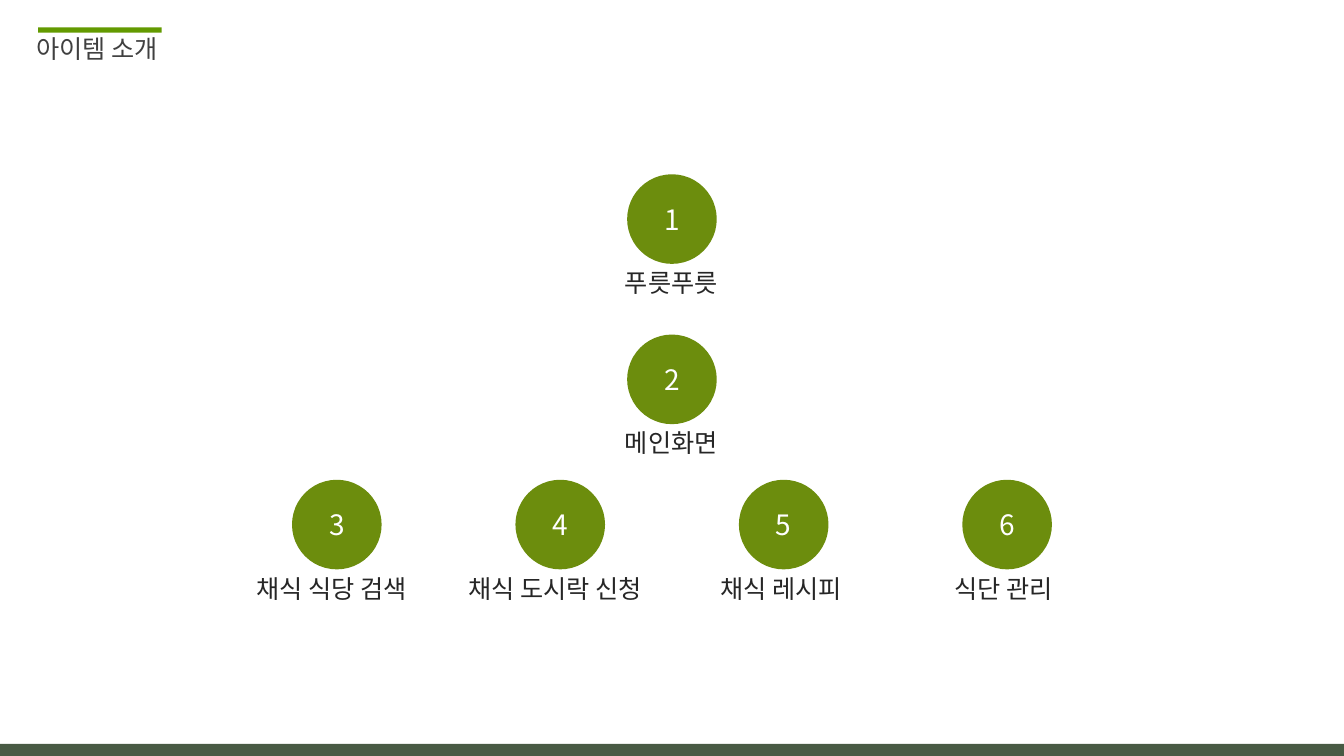
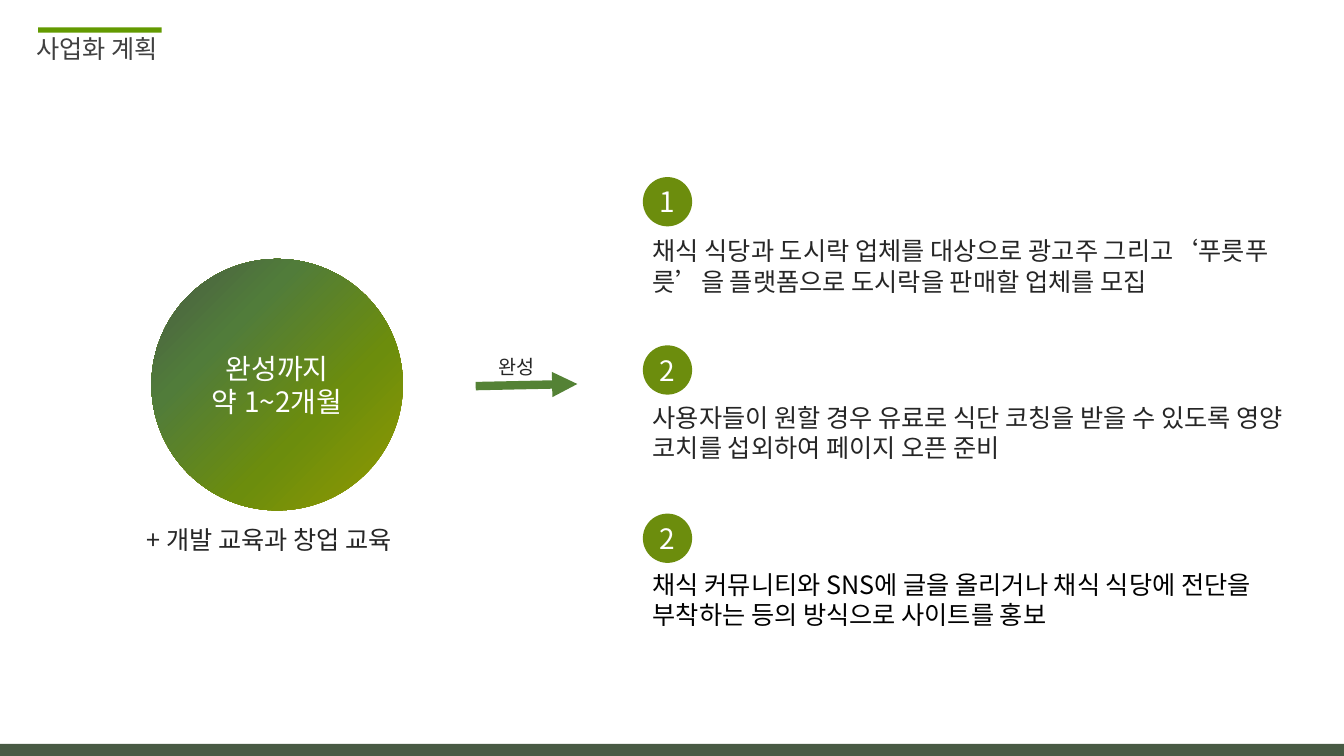
from dataclasses import dataclass

from lxml.etree import SubElement
from pptx import Presentation
from pptx.dml.color import RGBColor
from pptx.enum.shapes import MSO_CONNECTOR as Connector, MSO_SHAPE as Shape
from pptx.enum.text import MSO_ANCHOR as Anchor, MSO_AUTO_SIZE as AutoSize, PP_ALIGN as Align
from pptx.oxml.ns import qn
from pptx.util import Pt


@dataclass(frozen=True)
class Theme:
    font: str = "Noto Sans CJK KR"
    title: str = "404040"
    text: str = "262626"
    black: str = "000000"
    white: str = "FFFFFF"
    accent: str = "639A00"
    footer: str = "485A44"
    badge: str = "6C8D0D"
    arrow: str = "548235"
    gradient: tuple = ((0, "929A00"), (36, "6C8D0D"), (70, "517C3A"), (100, "485A44"))
    gradient_angle: int = 225
    body_size: int = 18
    number_size: int = 20
    caption_size: int = 14


THEME = Theme()
WIDTH, HEIGHT = 960, 540
LINE_HEIGHT = 28.8

INTRO_TITLE = "아이템 소개"
MENU_ROWS = [
    (124.5, [("1", "푸릇푸릇", 81.4)]),
    (239, [("2", "메인화면", 81.4)]),
    (342.7, [
        ("3", "채식 식당 검색", 128.9),
        ("4", "채식 도시락 신청", 145.4),
        ("5", "채식 레시피", 104.4),
        ("6", "식단 관리", 89.3),
    ]),
]

PLAN_TITLE = "사업화 계획"
PERIOD = ["완성까지", "약 1~2개월"]
EDUCATION = "+ 개발 교육과 창업 교육"
DONE = "완성"
PLANS = [
    ("1", "채식 식당과 도시락 업체를 대상으로 광고주 그리고‘푸릇푸릇’을 플랫폼으로 도시락을 판매할 업체를 모집", THEME.text),
    ("2", "사용자들이 원할 경우 유료로 식단 코칭을 받을 수 있도록 영양 코치를 섭외하여 페이지 오픈 준비", THEME.text),
    ("2", "채식 커뮤니티와 SNS에 글을 올리거나 채식 식당에 전단을 부착하는 등의 방식으로 사이트를 홍보", THEME.black),
]


def apply(target, values):
    for name, value in values.items():
        setattr(target, name, value)


def write(frame, lines, size, color, align, frame_format):
    apply(frame, frame_format)
    for index, line in enumerate(lines):
        paragraph = frame.paragraphs[0] if index == 0 else frame.add_paragraph()
        paragraph.alignment = align
        run = paragraph.add_run()
        run.text = line
        apply(run.font, {"name": THEME.font, "size": Pt(size)})
        run.font.color.rgb = RGBColor.from_string(color)
        SubElement(run.font._element, qn("a:ea")).set("typeface", THEME.font)


def add_text(slide, text, left, top, width, height=LINE_HEIGHT,
             size=THEME.body_size, color=THEME.text, wrap=False):
    box = slide.shapes.add_textbox(Pt(left), Pt(top), Pt(width), Pt(height))
    write(box.text_frame, [text], size, color, Align.LEFT,
          {"word_wrap": wrap, "auto_size": AutoSize.SHAPE_TO_FIT_TEXT})


def add_plain(slide, kind, left, top, width, height, color):
    shape = slide.shapes.add_shape(kind, Pt(left), Pt(top), Pt(width), Pt(height))
    shape.shadow.inherit = False
    shape.fill.solid()
    shape.fill.fore_color.rgb = RGBColor.from_string(color)
    shape.line.fill.background()
    return shape


def add_circle(slide, lines, left, top, diameter):
    circle = add_plain(slide, Shape.OVAL, left, top, diameter, diameter, THEME.badge)
    margins = {f"margin_{side}": 0 for side in ("left", "top", "right", "bottom")}
    write(circle.text_frame, lines, THEME.number_size, THEME.white, Align.CENTER,
          {"word_wrap": True, "vertical_anchor": Anchor.MIDDLE, **margins})
    return circle


def paint_gradient(shape):
    shape.fill.gradient()
    gradient = shape._element.spPr.find(qn("a:gradFill"))
    stops = gradient.find(qn("a:gsLst"))
    for stop in list(stops):
        stops.remove(stop)
    for position, color in THEME.gradient:
        stop = SubElement(stops, qn("a:gs"), pos=str(position * 1000))
        SubElement(stop, qn("a:srgbClr"), val=color)
    gradient.find(qn("a:lin")).set("ang", str(THEME.gradient_angle * 60000))


def add_arrow(slide, start, end):
    arrow = slide.shapes.add_connector(Connector.STRAIGHT, *map(Pt, start + end))
    arrow.line.width = Pt(6)
    arrow.line.color.rgb = RGBColor.from_string(THEME.arrow)
    SubElement(arrow.line._get_or_add_ln(), qn("a:tailEnd"), type="triangle")
    SubElement(arrow._element.spPr, qn("a:effectLst"))


def add_slide(deck, title):
    slide = deck.slides.add_slide(deck.slide_layouts[6])
    add_text(slide, title, 18.7, 20.2, 104.4, color=THEME.title)
    add_plain(slide, Shape.RECTANGLE, 27.2, 19.5, 88.3, 3.8, THEME.accent)
    add_plain(slide, Shape.RECTANGLE, 0, 531.4, WIDTH, HEIGHT - 531.4, THEME.footer)
    return slide


def build_intro(deck):
    slide = add_slide(deck, INTRO_TITLE)
    diameter, pitch, label_offset = 64, 159.6, 63
    for top, items in MENU_ROWS:
        first_center = WIDTH / 2 - pitch * (len(items) - 1) / 2
        for column, (number, label, label_width) in enumerate(items):
            center = first_center + column * pitch
            add_circle(slide, [number], center - diameter / 2, top, diameter)
            add_text(slide, label, center - label_width / 2, top + label_offset, label_width)


def build_plan(deck):
    slide = add_slide(deck, PLAN_TITLE)
    paint_gradient(add_circle(slide, PERIOD, 108.2, 185, 179.6))
    add_text(slide, EDUCATION, 97.6, 370.8, 201.6)
    add_arrow(slide, (339.8, 275.8), (412.4, 274.3))
    add_text(slide, DONE, 349.2, 249.8, 40.3, 24.2, THEME.caption_size)
    left = 459.2
    for row, (number, text, color) in enumerate(PLANS):
        add_text(slide, text, left, 164.8 + row * 119.2, 480.2, 50.9, color=color, wrap=True)
        add_circle(slide, [number], left, 126.5 + row * 120.2, 35.2)


def main():
    deck = Presentation()
    apply(deck, {"slide_width": Pt(WIDTH), "slide_height": Pt(HEIGHT)})
    build_intro(deck)
    build_plan(deck)
    deck.save("out.pptx")


if __name__ == "__main__":
    main()
